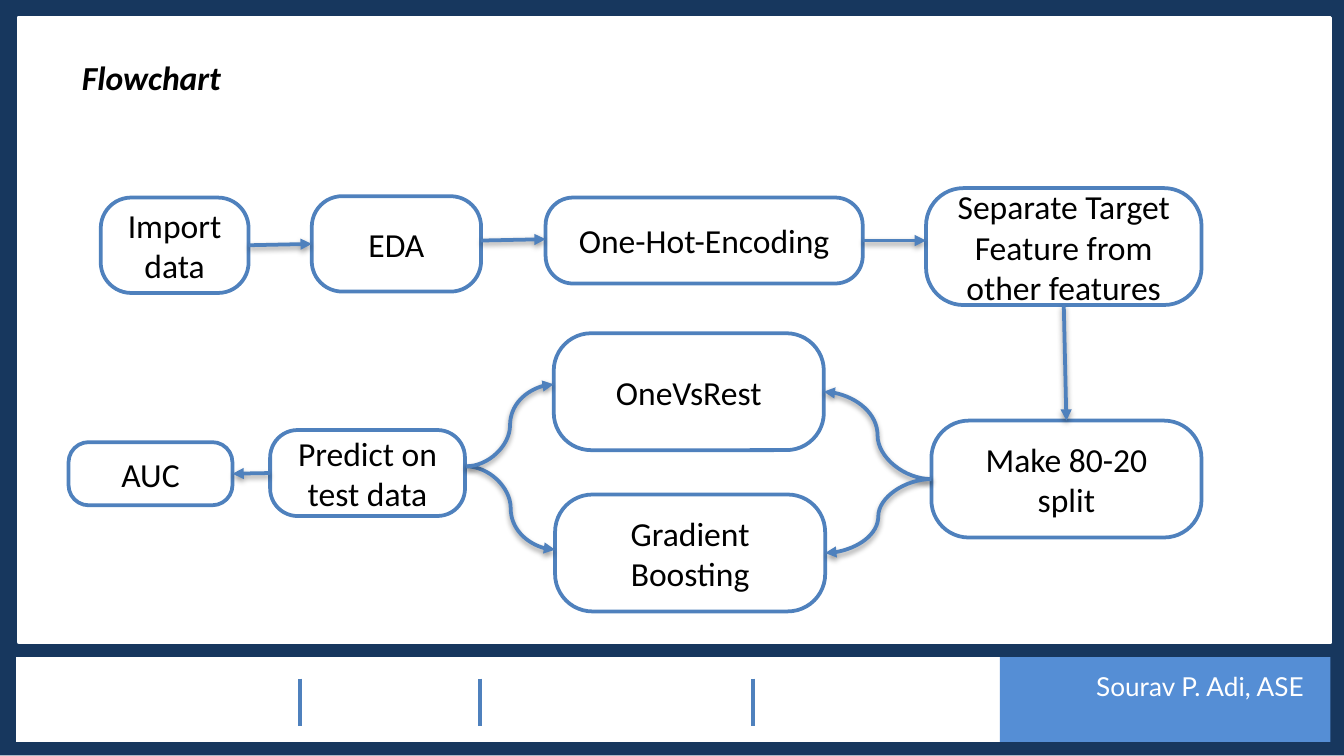
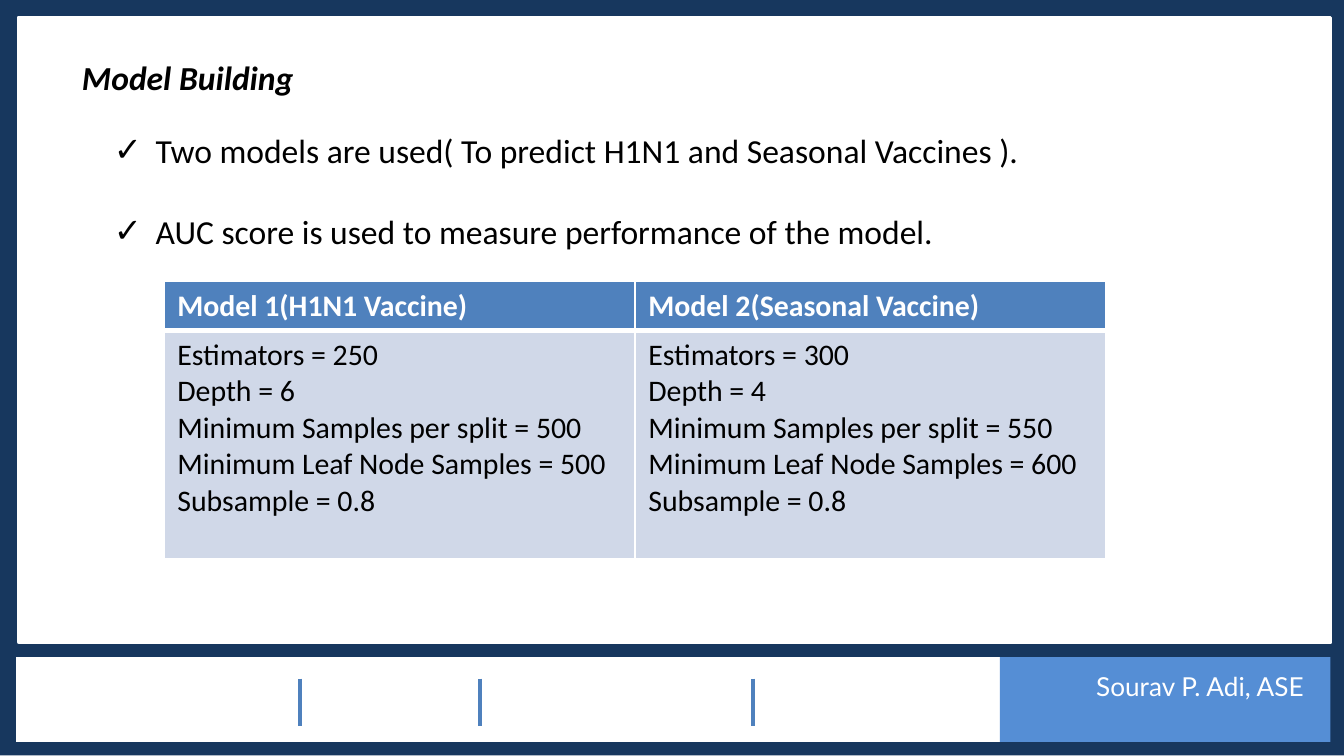
from lxml import etree
from pptx import Presentation
from pptx import util as u
from pptx.dml.color import RGBColor
from pptx.enum import shapes, text
from pptx.oxml import ns

# Content
AUTHOR = "Sourav P. Adi, ASE"
FLOW_TITLE = "Flowchart"
MODEL_TITLE = "Model Building"

# Step: (label, left, top, width, height)
STEPS = {
    "import": ("Import data", 0.75, 1.47, 1.1, 0.71),
    "eda": ("EDA", 2.32, 1.46, 1.26, 0.71),
    "encode": ("One-Hot-Encoding", 4.06, 1.47, 2.36, 0.64),
    "separate": ("Separate Target Feature from other features", 6.89, 1.4, 2.05, 0.87),
    "split": ("Make 80-20 split", 6.93, 3.13, 2.01, 0.87),
    "one_vs_rest": ("OneVsRest", 4.12, 2.48, 2.01, 0.87),
    "boosting": ("Gradient Boosting", 4.13, 3.68, 2.01, 0.87),
    "predict": ("Predict on test data", 2.01, 3.2, 1.45, 0.64),
    "auc": ("AUC", 0.51, 3.29, 1.22, 0.47),
}
TOP, LEFT, BOTTOM, RIGHT = range(4)
STRAIGHT, CURVE = shapes.MSO_CONNECTOR.STRAIGHT, shapes.MSO_CONNECTOR.CURVE
# An arrow ends at the middle of a step's side, or at a point (x, y)
FORK = (3.47, 3.47)
ARROWS = [
    (("import", RIGHT), ("eda", LEFT), STRAIGHT),
    ((3.58, 1.79), (4.06, 1.78), STRAIGHT),
    (("encode", RIGHT), (6.89, 1.79), STRAIGHT),
    (("separate", BOTTOM), ("split", TOP), STRAIGHT),
    (("split", LEFT), ("one_vs_rest", RIGHT), CURVE),
    (("split", LEFT), ("boosting", RIGHT), CURVE),
    (FORK, (4.13, 4.09), CURVE),
    (FORK, (4.12, 2.86), CURVE),
    (("predict", LEFT), ("auc", RIGHT), STRAIGHT),
]

POINTS = [
    "Two models are used( To predict H1N1 and Seasonal Vaccines ).",
    "AUC score is used to measure performance of the model.",
]
SETTINGS = ["Estimators", "Depth", "Minimum Samples per split",
            "Minimum Leaf Node Samples", "Subsample"]
MODELS = {
    "Model 1(H1N1 Vaccine)": [250, 6, 500, 500, 0.8],
    "Model 2(Seasonal Vaccine)": [300, 4, 550, 600, 0.8],
}

# Style
COLORS = {"navy": "17375E", "white": "FFFFFF", "line": "4F81BD",
          "badge": "558ED5", "black": "000000", "cell": "D0D8E8"}
FONT, FOOTER_FONT = "Calibri", "Lato"


def color(name):
    return RGBColor.from_string(COLORS[name])


def inches(*values):
    return [u.Inches(value) for value in values]


def add_xml(parent, tag, **attributes):
    return etree.SubElement(parent, ns.qn(tag), attributes)


def style_text(frame, size, tint="black", font=FONT, bold=False, italic=False, align=None):
    for para in frame.paragraphs:
        para.alignment = align
        for span in para.runs:
            span.font.size = u.Pt(size)
            span.font.name = font
            span.font.bold = bold
            span.font.italic = italic
            span.font.color.rgb = color(tint)


def add_box(page, kind, place, fill, line=None):
    box = page.shapes.add_shape(kind, *inches(*place))
    box.shadow.inherit = False
    box.fill.solid()
    box.fill.fore_color.rgb = color(fill)
    if line:
        box.line.color.rgb = color(line)
        box.line.width = u.Pt(2)
    else:
        box.line.fill.background()
    return box


def add_line(page, kind, start=(0, 0), end=(0, 0)):
    line = page.shapes.add_connector(kind, *inches(*start, *end))
    line.line.color.rgb = color("line")
    line.line.width = u.Pt(2)
    return line, add_xml(line.element.spPr, "a:effectLst")


def add_textbox(page, place):
    frame = page.shapes.add_textbox(*inches(*place)).text_frame
    frame.word_wrap = True
    return frame


# Shared frame and footer band, drawn once and moved to the layout
def build_layout(layout, page):
    for holder in list(layout.placeholders):
        if holder.placeholder_format.type != shapes.PP_PLACEHOLDER.TITLE:
            holder.element.getparent().remove(holder.element)
    rect = shapes.MSO_SHAPE.RECTANGLE
    parts = [add_box(page, rect, (0, 0, 10, 5.62), "navy"),
             add_box(page, rect, (0.12, 4.89, 9.76, 0.63), "white")]
    parts += [add_line(page, STRAIGHT, (x, 5.05), (x, 5.4))[0] for x in (2.23, 3.57, 5.6)]
    parts += [add_box(page, rect, (0.14, 0.13, 9.76, 4.65), "white", "white"),
              add_box(page, rect, (7.44, 4.89, 2.46, 0.63), "badge")]
    for part in parts:
        layout.element.cSld.spTree.append(part.element)


def set_heading(page, heading):
    footer = add_textbox(page, (7.6, 4.94, 2.2, 0.56))
    footer.text = AUTHOR
    footer.paragraphs[0].space_before = u.Pt(2.8)
    style_text(footer, 14, "white", FOOTER_FONT, align=text.PP_ALIGN.RIGHT)

    title = page.shapes.title
    title.left, title.top, title.width, title.height = inches(0.51, 0.37, 6.3, 0.4)
    frame = title.text_frame
    frame.text = heading
    frame.auto_size = text.MSO_AUTO_SIZE.NONE
    frame.vertical_anchor = text.MSO_ANCHOR.TOP
    style_text(frame, 18, bold=True, italic=True, align=text.PP_ALIGN.LEFT)


# Flowchart slide
def add_step(page, label, *place):
    box = add_box(page, shapes.MSO_SHAPE.ROUNDED_RECTANGLE, place, "white", "line")
    box.adjustments[0] = 0.32
    box.text_frame.text = label
    box.text_frame.vertical_anchor = text.MSO_ANCHOR.MIDDLE
    style_text(box.text_frame, 18, align=text.PP_ALIGN.CENTER)
    return box


def add_arrow(page, boxes, start, end, kind):
    start_joined, end_joined = start[0] in boxes, end[0] in boxes
    arrow, effects = add_line(page, kind, (0, 0) if start_joined else start,
                              (0, 0) if end_joined else end)
    if start_joined:
        arrow.begin_connect(boxes[start[0]], start[1])
    if end_joined:
        arrow.end_connect(boxes[end[0]], end[1])
    add_xml(arrow.line._get_or_add_ln(), "a:tailEnd", type="triangle")
    shadow = add_xml(effects, "a:outerShdw", blurRad=str(u.Pt(3.1)), dist=str(u.Pt(1.6)),
                     dir="5400000", rotWithShape="0")
    tint = add_xml(shadow, "a:srgbClr", val=COLORS["black"])
    add_xml(tint, "a:alpha", val="38000")


def build_flowchart(page):
    boxes = {name: add_step(page, *step) for name, step in STEPS.items()}
    for start, end, kind in ARROWS:
        add_arrow(page, boxes, start, end, kind)


# Model slide
def add_points(page):
    frame = add_textbox(page, (0.75, 0.92, 8.9, 1.01))
    frame.text = "\n".join(POINTS)
    style_text(frame, 18)
    indent = u.Inches(0.31)
    frame.paragraphs[1].space_before = u.Pt(21.6)
    for para in frame.paragraphs:
        properties = para._p.get_or_add_pPr()
        properties.set("marL", str(indent))
        properties.set("indent", str(-indent))
        add_xml(properties, "a:buFont", typeface=FONT)
        add_xml(properties, "a:buChar", char="✓")


def style_cell(cell, fill, tint, bold, top, bottom):
    properties = cell._tc.get_or_add_tcPr()
    for side, width in (("L", 1), ("R", 1), ("T", top), ("B", bottom)):
        border = add_xml(properties, "a:ln" + side, w=str(u.Pt(width)))
        add_xml(add_xml(border, "a:solidFill"), "a:srgbClr", val=COLORS["white"])
    cell.fill.solid()
    cell.fill.fore_color.rgb = color(fill)
    style_text(cell.text_frame, 16, tint, bold=bold)


def add_model_table(page):
    table = page.shapes.add_table(2, len(MODELS), *inches(1.22, 2.09, 7.01, 2.07)).table
    for row, height in zip(table.rows, (0.36, 1.7)):
        row.height = u.Inches(height)
    for column, (model, values) in enumerate(MODELS.items()):
        header, body = table.cell(0, column), table.cell(1, column)
        header.text = model
        body.text = "\n".join(f"{name} = {value}" for name, value in zip(SETTINGS, values))
        style_cell(header, "line", "white", True, 1, 3)
        style_cell(body, "cell", "black", False, 3, 1)


def build_models(page):
    add_points(page)
    add_model_table(page)


def main():
    deck = Presentation()
    deck.slide_width = u.Inches(10)
    deck.slide_height = deck.slide_width * 9 // 16
    layout = deck.slide_layouts[5]
    flow_page, model_page = [deck.slides.add_slide(layout) for _ in range(2)]
    build_layout(layout, flow_page)
    set_heading(flow_page, FLOW_TITLE)
    build_flowchart(flow_page)
    set_heading(model_page, MODEL_TITLE)
    build_models(model_page)
    deck.save("out.pptx")


if __name__ == "__main__":
    main()
